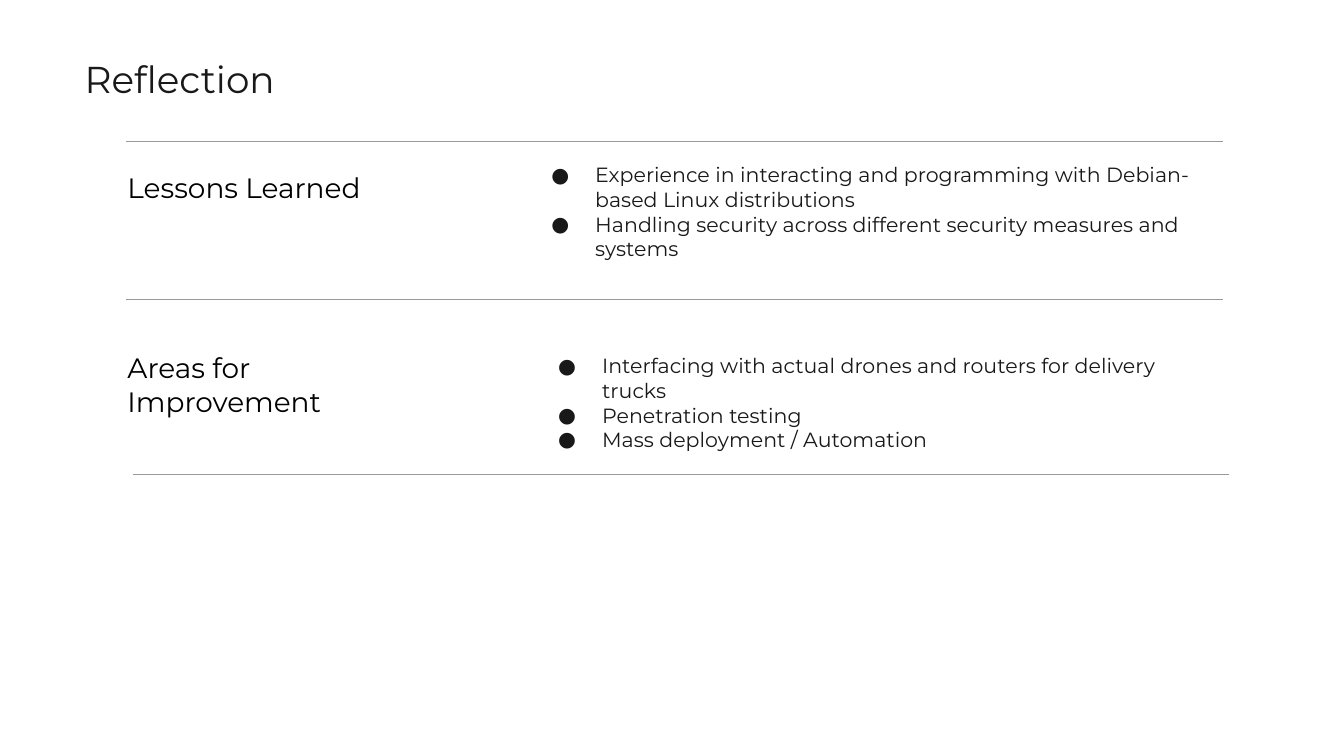
from lxml import etree
from pptx import Presentation
from pptx import util as u
from pptx.dml.color import RGBColor
from pptx.enum import shapes, text
from pptx.oxml.ns import qn

FONT = "Montserrat"
BLACK = RGBColor(0x00, 0x00, 0x00)
INK = RGBColor(0x19, 0x19, 0x19)
RULE_GREY = RGBColor(0x99, 0x99, 0x99)

HEADING_LEFT, HEADING_WIDTH = 2.16, 5.66
BULLETS_WIDTH = 13.36
RULE_WIDTH = 20.72

# heading, its top and height, bullets, their left, top and height
SECTIONS = [
    ("Lessons Learned", 2.97, 1.04,
     ["Experience in interacting and programming with Debian-based Linux distributions",
      "Handling security across different security measures and systems"],
     9.73, 2.82, 1.96),
    ("Areas for Improvement", 6.38, 1.07,
     ["Interfacing with actual drones and routers for delivery trucks",
      "Penetration testing",
      "Mass deployment / Automation"],
     9.86, 6.43, 1.47),
]
RULES = [(2.39, 2.67), (2.39, 5.66), (2.51, 8.97)]  # left, top


def add_text(page, lines, left, top, width, height, size, color, bulleted=False):
    box = page.shapes.add_textbox(u.Cm(left), u.Cm(top), u.Cm(width), u.Cm(height))
    frame = box.text_frame
    frame.word_wrap = True
    frame.vertical_anchor = text.MSO_ANCHOR.TOP
    frame.margin_left = frame.margin_right = u.Cm(0.25)
    frame.margin_top = frame.margin_bottom = u.Cm(0.25)
    frame.text = "\n".join(lines)
    for para in frame.paragraphs:
        if bulleted:
            add_bullet(para, color)
        para.font.name = FONT
        para.font.size = u.Pt(size)
        para.font.color.rgb = color


def add_bullet(para, color):
    properties = para._p.get_or_add_pPr()
    properties.set("marL", str(u.Cm(1.27)))
    properties.set("indent", str(u.Cm(-0.83)))
    bullet_color = etree.SubElement(properties, qn("a:buClr"))
    etree.SubElement(bullet_color, qn("a:srgbClr"), val=str(color))
    etree.SubElement(properties, qn("a:buFont"), typeface=FONT)
    etree.SubElement(properties, qn("a:buChar"), char="●")


def add_rule(page, left, top):
    rule = page.shapes.add_connector(
        shapes.MSO_CONNECTOR.STRAIGHT,
        u.Cm(left), u.Cm(top), u.Cm(left + RULE_WIDTH), u.Cm(top))
    rule.line.color.rgb = RULE_GREY
    rule.line.width = u.Pt(0.75)
    etree.SubElement(rule._element.spPr, qn("a:effectLst"))


def main():
    deck = Presentation()
    deck.slide_width, deck.slide_height = u.Cm(25.4), u.Cm(14.29)
    page = deck.slides.add_slide(deck.slide_layouts[6])

    add_text(page, ["Reflection"], 1.35, 0.81, 9.98, 0.94, 20, INK)
    for heading, top, height, bullets, left, bullets_top, bullets_height in SECTIONS:
        add_text(page, [heading], HEADING_LEFT, top, HEADING_WIDTH, height, 15, BLACK)
        add_text(page, bullets, left, bullets_top, BULLETS_WIDTH, bullets_height,
                 11, INK, bulleted=True)
    for left, top in RULES:
        add_rule(page, left, top)

    deck.save("out.pptx")


if __name__ == "__main__":
    main()
